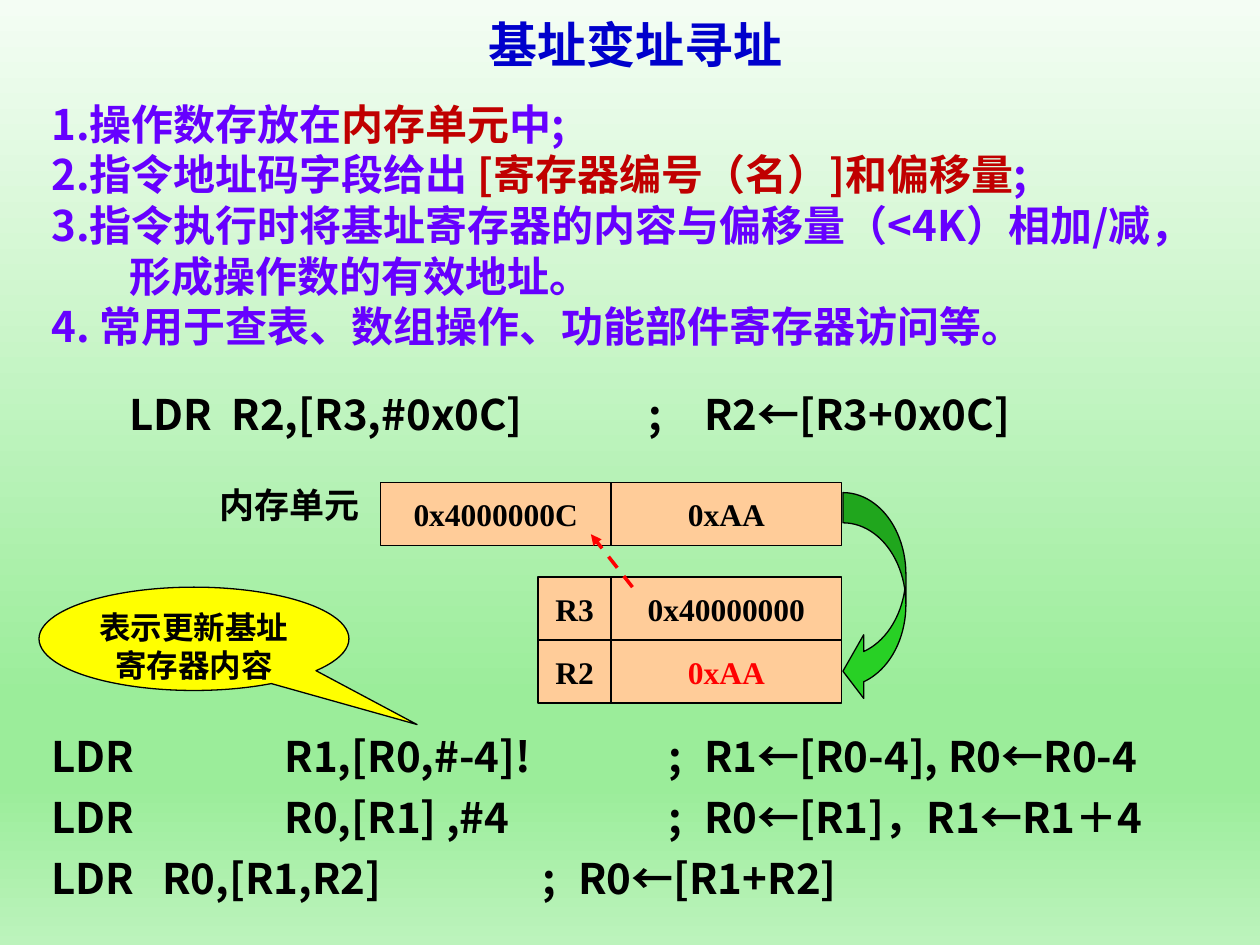
from copy import deepcopy

from lxml import etree
from pptx import Presentation
from pptx.dml.color import RGBColor
from pptx.enum.dml import MSO_LINE
from pptx.enum.shapes import MSO_CONNECTOR, MSO_SHAPE
from pptx.enum.text import MSO_ANCHOR, PP_ALIGN
from pptx.oxml.ns import qn
from pptx.util import Inches, Pt

RECT, ARROW = MSO_SHAPE.RECTANGLE, MSO_SHAPE.CURVED_LEFT_ARROW
CALLOUT = MSO_SHAPE.OVAL_CALLOUT
LEFT, CENTER = PP_ALIGN.LEFT, PP_ALIGN.CENTER
TOP, MIDDLE = MSO_ANCHOR.TOP, MSO_ANCHOR.MIDDLE

BLUE = RGBColor(0x00, 0x00, 0xCC)
VIOLET = RGBColor(0x66, 0x00, 0xFF)
DARK_RED = RGBColor(0xC0, 0x00, 0x00)
RED = RGBColor(0xFF, 0x00, 0x00)
BLACK = RGBColor(0x00, 0x00, 0x00)
PEACH = RGBColor(0xFF, 0xCC, 0x99)
GREEN = RGBColor(0x28, 0xD0, 0x25)
YELLOW = RGBColor(0xFF, 0xFF, 0x00)
BACKGROUND = [
    (0, RGBColor(0xF4, 0xFD, 0xF4)),
    (0.74, RGBColor(0x9B, 0xED, 0x9A)),
    (0.83, RGBColor(0x9B, 0xED, 0x9A)),
    (1, RGBColor(0xBC, 0xF3, 0xBC)),
]

SANS, COMIC, SERIF = "Noto Sans CJK JP", "Comic Neue", "Times New Roman"

# Grid of the memory and register cells, in inches
COLS = [3.02, 4.27, 4.85, 6.68]
ROWS = {"memory": 3.83, "R3": 4.58, "R2": 5.08}
CELL_H = 0.5

NOTES = [
    [("1.操作数存放在", VIOLET), ("内存单元", DARK_RED), ("中;", VIOLET)],
    [("2.指令地址码字段给出 ", VIOLET), ("[寄存器编号（名）]和偏移量", DARK_RED),
     (";", VIOLET)],
    [("3.指令执行时将基址寄存器的内容与偏移量（<4K）相加/减，形成操作数的有效地址。",
      VIOLET)],
    [("4. 常用于查表、数组操作、功能部件寄存器访问等。", VIOLET)],
]
# Code lines with their tab stops in inches
EXAMPLE = [("\tLDR\tR2,[R3,#0x0C]\t;\tR2←[R3+0x0C]", [0.62, 1.43, 4.74, 5.18])]
VARIANTS = [
    ("LDR\tR1,[R0,#-4]!\t;\tR1←[R0-4], R0←R0-4", [1.85, 4.9, 5.18]),
    ("LDR\tR0,[R1] ,#4\t;\tR0←[R1]，R1←R1＋4", [1.85, 4.9, 5.18]),
    ("LDR\tR0,[R1,R2]\t;\tR0←[R1+R2]", [0.88, 3.9, 4.18]),
]


def paint_background(s):
    fill = s.background.fill
    fill.gradient()
    fill.gradient_angle = 270
    stops = s._element.find(".//" + qn("a:gsLst"))
    while len(stops) < len(BACKGROUND):
        stops.append(deepcopy(stops[0]))
    for stop, (position, color) in zip(fill.gradient_stops, BACKGROUND):
        stop.position = position
        stop.color.rgb = color


def add_runs(p, runs, size, font):
    for text, color in runs:
        r = p.add_run()
        r.text = text
        for name, value in {"size": Pt(size), "bold": True, "name": font}.items():
            setattr(r.font, name, value)
        r.font.color.rgb = color
        if font == SANS:
            etree.SubElement(r._r.rPr, qn("a:ea"), typeface=font)


def add_text(s, box, paragraphs, size, font=SANS, align=LEFT, anchor=TOP,
             wrap=True, spacing=None):
    sp = s.shapes.add_textbox(*map(Inches, box))
    tf = sp.text_frame
    tf.word_wrap, tf.vertical_anchor = wrap, anchor
    for i, runs in enumerate(paragraphs):
        p = tf.add_paragraph() if i else tf.paragraphs[0]
        p.alignment = align
        if spacing:
            p.line_spacing = Pt(spacing)
        add_runs(p, runs, size, font)
    return tf


def add_code(s, box, lines, spacing):
    tf = add_text(s, box, [[(text, BLACK)] for text, _ in lines], 24,
                  spacing=spacing)
    for p, (_, stops) in zip(tf.paragraphs, lines):
        tabs = etree.SubElement(p._p.get_or_add_pPr(), qn("a:tabLst"))
        for stop in stops:
            etree.SubElement(tabs, qn("a:tab"), pos=str(Inches(stop)), algn="l")


def add_shape(s, kind, box, fill, adjustments=()):
    sp = s.shapes.add_shape(kind, *map(Inches, box))
    sp.shadow.inherit = False
    sp.fill.solid()
    sp.fill.fore_color.rgb = fill
    sp.line.color.rgb = BLACK
    sp.line.width = Pt(0.75)
    for i, value in enumerate(adjustments):
        sp.adjustments[i] = value
    return sp


def label_shape(sp, text, font, color=BLACK, anchor=MIDDLE, wrap=False):
    tf = sp.text_frame
    tf.word_wrap, tf.vertical_anchor = wrap, anchor
    p = tf.paragraphs[0]
    p.alignment = CENTER
    add_runs(p, [(text, color)], 18, font)


def add_cell(s, row, first, last, text, color=BLACK):
    box = (COLS[first], ROWS[row], COLS[last] - COLS[first], CELL_H)
    label_shape(add_shape(s, RECT, box, PEACH), text, SERIF, color)


def add_dashed_arrow(s, start, end):
    line = s.shapes.add_connector(MSO_CONNECTOR.STRAIGHT,
                                  *map(Inches, start + end))
    line.line.color.rgb = RED
    line.line.width = Pt(2)
    line.line.dash_style = MSO_LINE.DASH
    etree.SubElement(line.line._get_or_add_ln(), qn("a:tailEnd"), type="triangle")
    etree.SubElement(line._element.spPr, qn("a:effectLst"))


def main():
    prs = Presentation()
    prs.slide_width, prs.slide_height = Inches(10), Inches(7.5)
    s = prs.slides.add_slide(prs.slide_layouts[6])
    paint_background(s)

    # Title and numbered notes
    add_text(s, (0.23, 0, 9.63, 0.7), [[("基址变址寻址", BLUE)]], 28, COMIC,
             CENTER, MIDDLE)
    notes = add_text(s, (0.31, 0.73, 9.53, 2.1), NOTES, 24, spacing=28.9)
    for p in notes.paragraphs:
        pPr = p._p.get_or_add_pPr()
        pPr.set("marL", str(Inches(0.62)))
        pPr.set("indent", str(-Inches(0.62)))

    # Code lines
    add_code(s, (0.31, 3.03, 9.53, 0.5), EXAMPLE, 28.9)
    add_code(s, (0.31, 5.66, 9.53, 1.56), VARIANTS, 35)

    # Memory and registers
    add_cell(s, "R2", 1, 2, "R2")
    add_cell(s, "R3", 1, 2, "R3")
    add_cell(s, "R3", 2, 3, "0x40000000")
    add_cell(s, "memory", 2, 3, "0xAA")
    add_cell(s, "memory", 0, 2, "0x4000000C")
    add_cell(s, "R2", 2, 3, "0xAA", RED)
    add_text(s, (1.64, 3.79, 1.32, 0.44), [[("内存单元", BLACK)]], 20, wrap=False)

    # Address and data flow
    add_dashed_arrow(s, (5.02, 4.66), (4.69, 4.24))
    add_shape(s, ARROW, (6.69, 3.91, 0.5, 1.67), GREEN, (0.48, 1.01, 0.33))

    # Callout on the base register update
    callout = add_shape(s, CALLOUT, (0.31, 4.66, 2.46, 0.82), YELLOW, (0.72, 0.83))
    label_shape(callout, "表示更新基址寄存器内容", COMIC, anchor=TOP, wrap=True)

    prs.save("out.pptx")


if __name__ == "__main__":
    main()
